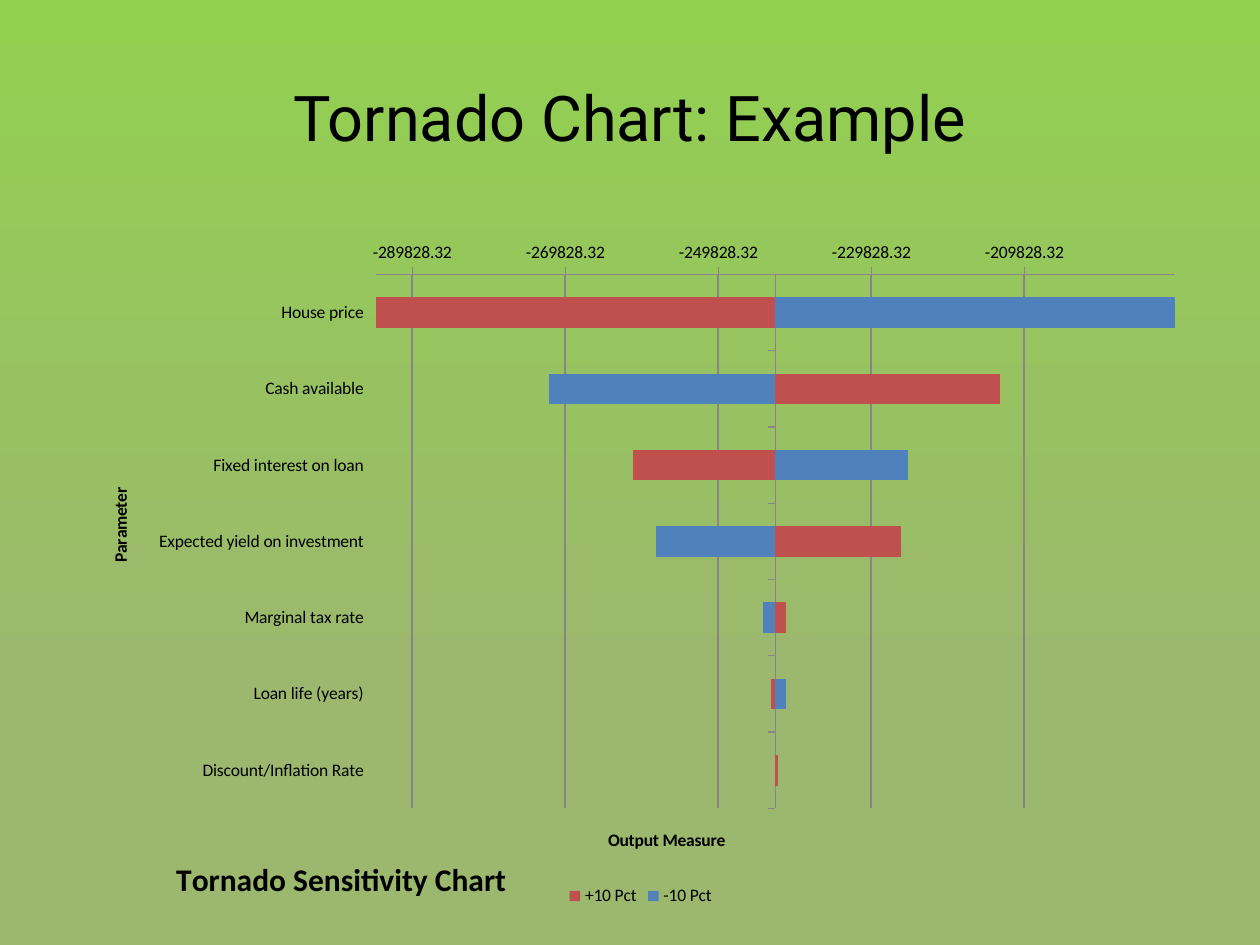
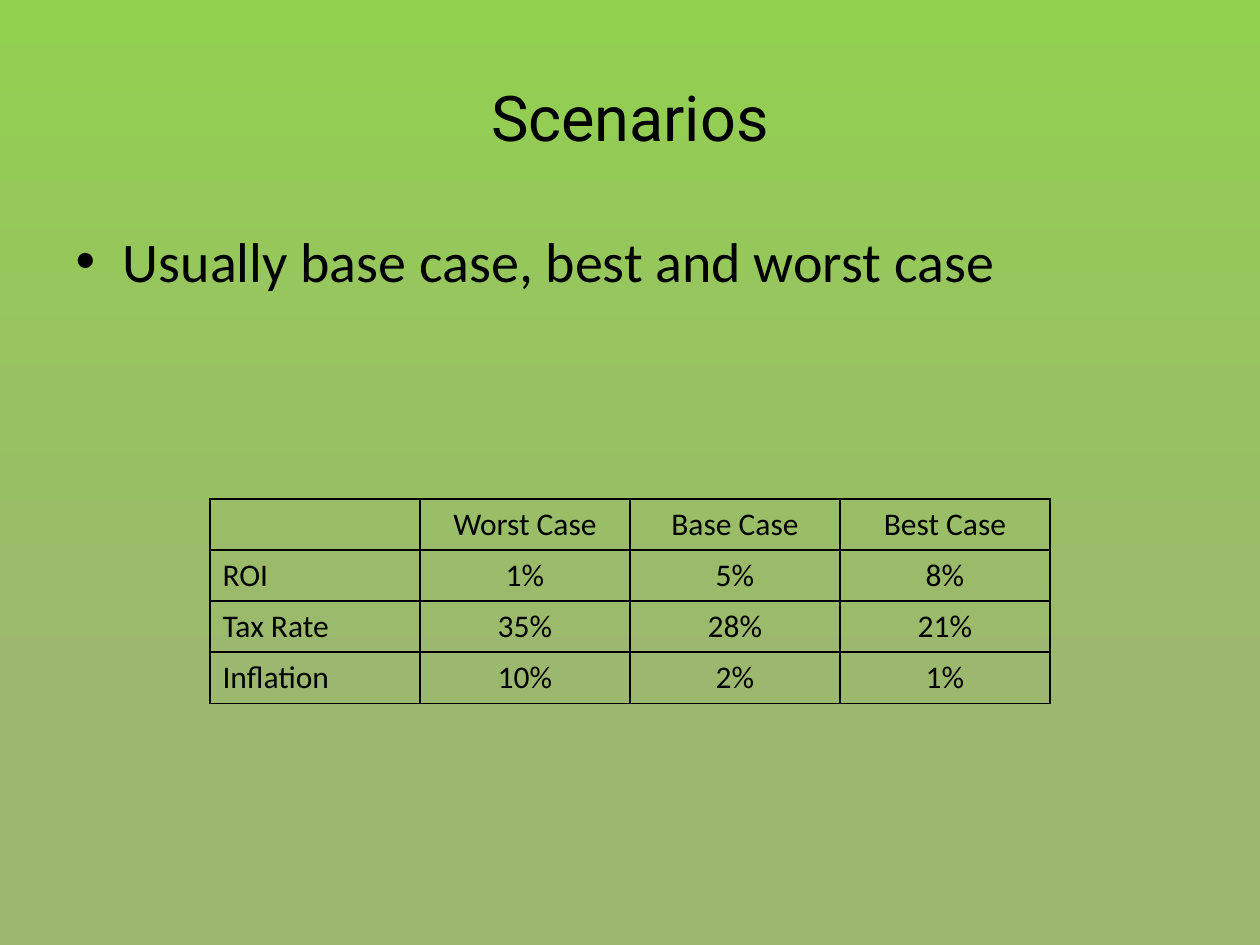
from pptx import Presentation
from pptx.chart.data import CategoryChartData as ChartData
from pptx.dml.color import RGBColor
from pptx.enum.chart import XL_CHART_TYPE as Kind
from pptx.enum.chart import XL_LEGEND_POSITION as Legend
from pptx.enum.chart import XL_TICK_LABEL_POSITION as Label
from pptx.enum.chart import XL_TICK_MARK as Tick
from pptx.enum.text import MSO_ANCHOR as Anchor
from pptx.enum.text import PP_ALIGN as Align
from pptx.oxml import parse_xml
from pptx.oxml.ns import nsdecls, qn
from pptx.util import Pt

BLACK, GREY, RED, BLUE = "000000", "868686", "C0504D", "4F81BD"
LOW, HIGH = "9CB86E", "92D050"
HEAD, BODY = "Roboto", "Calibri"

TITLE_BOX = (36, 21.6, 648, 90)
LIST_BOX = (36, 126, 648, 356.4)
CHART_BOX = (48.24, 84.24, 635.76, 436.32)
PLOT_BOX = (166.6, 72.6, 456.5, 305.2)  # within the chart
TABLE_BOX = (120, 285.12, 480, 116.64)

BASE = -242375
EFFECTS = [  # parameter, output at -10 %, output at +10 %
    ("House price", -190000, -295000),
    ("Cash available", -272000, -213000),
    ("Fixed interest on loan", -225000, -261000),
    ("Expected yield on investment", -258000, -226000),
    ("Marginal tax rate", -244000, -241000),
    ("Loan life (years)", -241000, -243000),
    ("Discount/Inflation Rate", -242000, -242000),
]
CASES = [
    ("", "Worst Case", "Base Case", "Best Case"),
    ("ROI", "1%", "5%", "8%"),
    ("Tax Rate", "35%", "28%", "21%"),
    ("Inflation", "10%", "2%", "1%"),
]


def color(code):
    return RGBColor.from_string(code)


def points(box):
    return [Pt(n) for n in box]


def style(font, size, face=BODY, bold=False):
    font.size, font.name, font.bold = Pt(size), face, bold
    font.color.rgb = color(BLACK)


def move(shape, box):
    shape.left, shape.top, shape.width, shape.height = points(box)


def paint(master):
    """Give every slide the green gradient, rising from the bottom edge."""
    fill = master.background.fill
    fill.gradient()
    fill.gradient_angle = 90
    for stop, code, place in zip(fill.gradient_stops, (LOW, HIGH), (0.28, 1)):
        stop.color.rgb = color(code)
        stop.position = place


def add_slide(deck, layout, text):
    slide = deck.slides.add_slide(deck.slide_layouts[layout])
    title = slide.shapes.title
    move(title, TITLE_BOX)
    frame = title.text_frame
    frame.text = text
    frame.vertical_anchor = Anchor.MIDDLE
    para = frame.paragraphs[0]
    para.alignment = Align.CENTER
    style(para.runs[0].font, 36, HEAD)
    return slide


def set_layout(node, index, box):
    """Place a chart part by points (left, top, perhaps width, height)."""
    old = node.find(qn("c:layout"))
    if old is not None:
        node.remove(old)
    inner = '<c:layoutTarget val="inner"/>' if len(box) == 4 else ""
    modes = "".join(f'<c:{k}Mode val="edge"/>' for k in "xy")
    sizes = "".join(f'<c:{k} val="{n / full}"/>'
                    for k, n, full in zip("xywh", box, CHART_BOX[2:] * 2))
    node.insert(index, parse_xml(
        f'<c:layout {nsdecls("c")}><c:manualLayout>{inner}{modes}{sizes}'
        "</c:manualLayout></c:layout>"))


def add_label(title, text, size, spot):
    frame = title.text_frame
    frame.text = text
    style(frame.paragraphs[0].runs[0].font, size, bold=True)
    set_layout(title._element, 1, spot)


def set_line(line, width):
    line.color.rgb, line.width = color(GREY), Pt(width)


def set_axis(axis, text, spot):
    axis.major_tick_mark, axis.minor_tick_mark = Tick.OUTSIDE, Tick.NONE
    style(axis.tick_labels.font, 10)
    set_line(axis.format.line, 0.75)
    add_label(axis.axis_title, text, 10, spot)


def add_tornado(slide, box):
    names, down, up = zip(*EFFECTS)
    data = ChartData()
    data.categories = names
    data.add_series("-10 Pct", down)
    data.add_series("+10 Pct", up)
    chart = slide.shapes.add_chart(
        Kind.BAR_CLUSTERED, *points(box), data).chart
    style(chart.font, 10)
    chart.has_title = True
    add_label(chart.chart_title, "Tornado Sensitivity Chart", 18,
              (49.2, 402.3))
    chart.has_legend = True
    chart.legend.position = Legend.BOTTOM
    chart.legend.include_in_layout = False
    style(chart.legend.font, 10)

    plot = chart.plots[0]
    plot.gap_width, plot.overlap = 150, 100
    plot.vary_by_categories = False
    for series, code in zip(plot.series, (BLUE, RED)):
        series.invert_if_negative = False
        series.format.fill.solid()
        series.format.fill.fore_color.rgb = color(code)

    cats, vals = chart.category_axis, chart.value_axis
    set_axis(cats, "Parameter", (12.2, 192.5))
    cats.reverse_order = True
    cats.tick_label_position = Label.LOW
    set_axis(vals, "Output Measure", (297.4, 387.2))
    vals.minimum_scale, vals.maximum_scale = -294578.99, -190171.68
    vals.crosses_at = BASE
    vals.tick_labels.number_format = "0.00"
    vals.tick_labels.number_format_is_linked = False
    vals.has_major_gridlines = True
    set_line(vals.major_gridlines.format.line, 1)
    set_layout(chart._chartSpace.chart.plotArea, 0, PLOT_BOX)


def add_list(slide, box, text):
    body = slide.placeholders[1]
    move(body, box)
    body.text_frame.text = text
    style(body.text_frame.paragraphs[0].runs[0].font, 32)


def add_border(cell):
    props = cell._tc.get_or_add_tcPr()
    for side in "LRTB":
        props.append(parse_xml(
            f'<a:ln{side} {nsdecls("a")} w="{Pt(1)}"><a:solidFill>'
            f'<a:srgbClr val="{BLACK}"/></a:solidFill></a:ln{side}>'))


def add_cases(slide, box):
    rows, cols = len(CASES), len(CASES[0])
    table = slide.shapes.add_table(rows, cols, *points(box)).table
    table.first_row = table.horz_banding = False
    for r, row in enumerate(CASES):
        for c, text in enumerate(row):
            cell = table.cell(r, c)
            add_border(cell)
            cell.fill.background()
            cell.text = text
            para = cell.text_frame.paragraphs[0]
            para.alignment = Align.CENTER if c else Align.LEFT
            for run in para.runs:
                style(run.font, 18)


def main():
    deck = Presentation()
    deck.slide_width, deck.slide_height = Pt(720), Pt(540)
    paint(deck.slide_master)
    add_tornado(add_slide(deck, 5, "Tornado Chart: Example"), CHART_BOX)
    slide = add_slide(deck, 1, "Scenarios")
    add_list(slide, LIST_BOX, "Usually base case, best and worst case")
    add_cases(slide, TABLE_BOX)
    deck.save("out.pptx")


if __name__ == "__main__":
    main()
